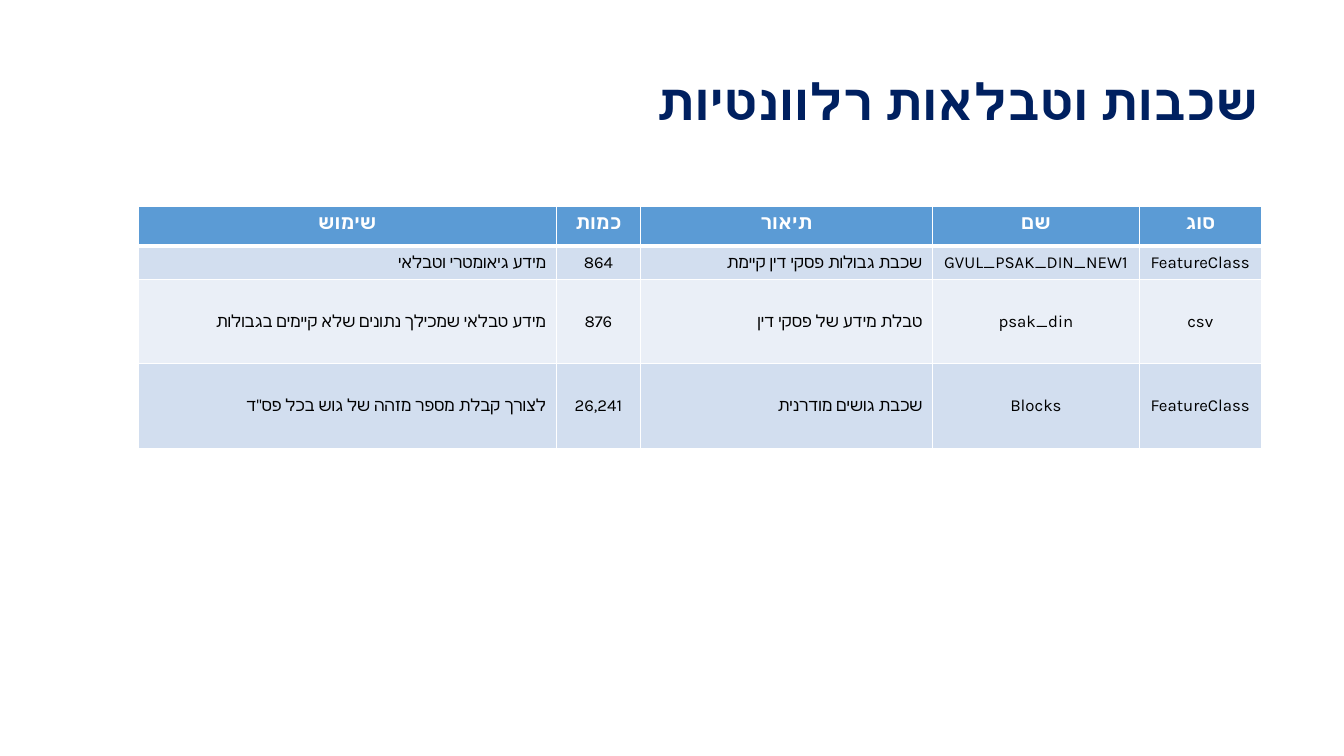
from pptx import Presentation
from pptx.dml.color import RGBColor
from pptx.enum.text import MSO_ANCHOR, PP_ALIGN
from pptx.oxml.ns import qn
from pptx.util import Inches, Pt
from lxml.etree import SubElement

COLORS = {
    "title": "002060",
    "header": "5B9BD5",
    "band_dark": "D2DEEF",
    "band_light": "EAEFF7",
    "white": "FFFFFF",
    "black": "000000",
}
COL_WIDTHS = [4.15, 0.83, 2.9, 2.05, 1.21]
ROW_HEIGHTS = [0.39, 0.33, 0.84, 0.84]
RTL_COLS = (0, 2)
ROWS = [
    ["שימוש", "כמות", "תיאור", "שם", "סוג"],
    ["מידע גיאומטרי וטבלאי", "864", "שכבת גבולות פסקי דין קיימת",
     "GVUL_PSAK_DIN_NEW1", "FeatureClass"],
    ["מידע טבלאי שמכילך נתונים שלא קיימים בגבולות", "876",
     "טבלת מידע של פסקי דין", "psak_din", "csv"],
    ["לצורך קבלת מספר מזהה של גוש בכל פס\"ד", "26,241",
     "שכבת גושים מודרנית", "Blocks", "FeatureClass"],
]


def rgb(name):
    return RGBColor.from_string(COLORS[name])


def format_paragraph(p, font, size, color, bold=False, rtl=False):
    p.alignment = PP_ALIGN.RIGHT if rtl else PP_ALIGN.CENTER
    if rtl:
        p._p.get_or_add_pPr().set("rtl", "1")
    p.font.name = font
    p.font.size = Pt(size)
    p.font.bold = bold
    p.font.color.rgb = rgb(color)
    # Hebrew letters take the complex-script font
    for r in p.runs:
        SubElement(r._r.get_or_add_rPr(), qn("a:cs"), typeface=font)


def set_borders(cell, bottom):
    tcPr = cell._tc.get_or_add_tcPr()
    widths = {"a:lnL": 1, "a:lnR": 1, "a:lnT": 1, "a:lnB": bottom}
    for i, (tag, width) in enumerate(widths.items()):
        ln = tcPr.makeelement(qn(tag), {"w": str(Pt(width))})
        fill = SubElement(ln, qn("a:solidFill"))
        SubElement(fill, qn("a:srgbClr"), val=COLORS["white"])
        tcPr.insert(i, ln)


def add_title(s, text):
    title = s.shapes.title
    title.left, title.top = Inches(0.5), Inches(0.69)
    title.width, title.height = Inches(12.08), Inches(0.68)
    tf = title.text_frame
    tf.text = text
    tf.word_wrap = True
    tf.vertical_anchor = MSO_ANCHOR.MIDDLE
    p = tf.paragraphs[0]
    p.line_spacing = 0.9
    format_paragraph(p, "Calibri", 36, "title", bold=True, rtl=True)


def fill_cell(cell, text, row, col):
    header = row == 0
    band = "band_dark" if row % 2 else "band_light"
    cell.text = text
    cell.fill.solid()
    cell.fill.fore_color.rgb = rgb("header" if header else band)
    cell.vertical_anchor = MSO_ANCHOR.TOP if header else MSO_ANCHOR.MIDDLE
    set_borders(cell, bottom=3 if header else 1)
    p = cell.text_frame.paragraphs[0]
    if header:
        format_paragraph(p, "Karla", 14, "white", bold=True)
    else:
        format_paragraph(p, "Karla", 12, "black", rtl=col in RTL_COLS)


def add_layers_table(s):
    table = s.shapes.add_table(
        len(ROWS), len(COL_WIDTHS), Inches(1.37), Inches(2.05),
        Inches(sum(COL_WIDTHS)), Inches(sum(ROW_HEIGHTS))).table
    for column, width in zip(table.columns, COL_WIDTHS):
        column.width = Inches(width)
    for row, height in zip(table.rows, ROW_HEIGHTS):
        row.height = Inches(height)
    for i, texts in enumerate(ROWS):
        for j, text in enumerate(texts):
            fill_cell(table.cell(i, j), text, i, j)


def main():
    prs = Presentation()
    prs.slide_width, prs.slide_height = Inches(13.33), Inches(7.5)
    s = prs.slides.add_slide(prs.slide_layouts[5])
    # Title
    add_title(s, "שכבות וטבלאות רלוונטיות")
    # Table of layers
    add_layers_table(s)
    prs.save("out.pptx")


main()
